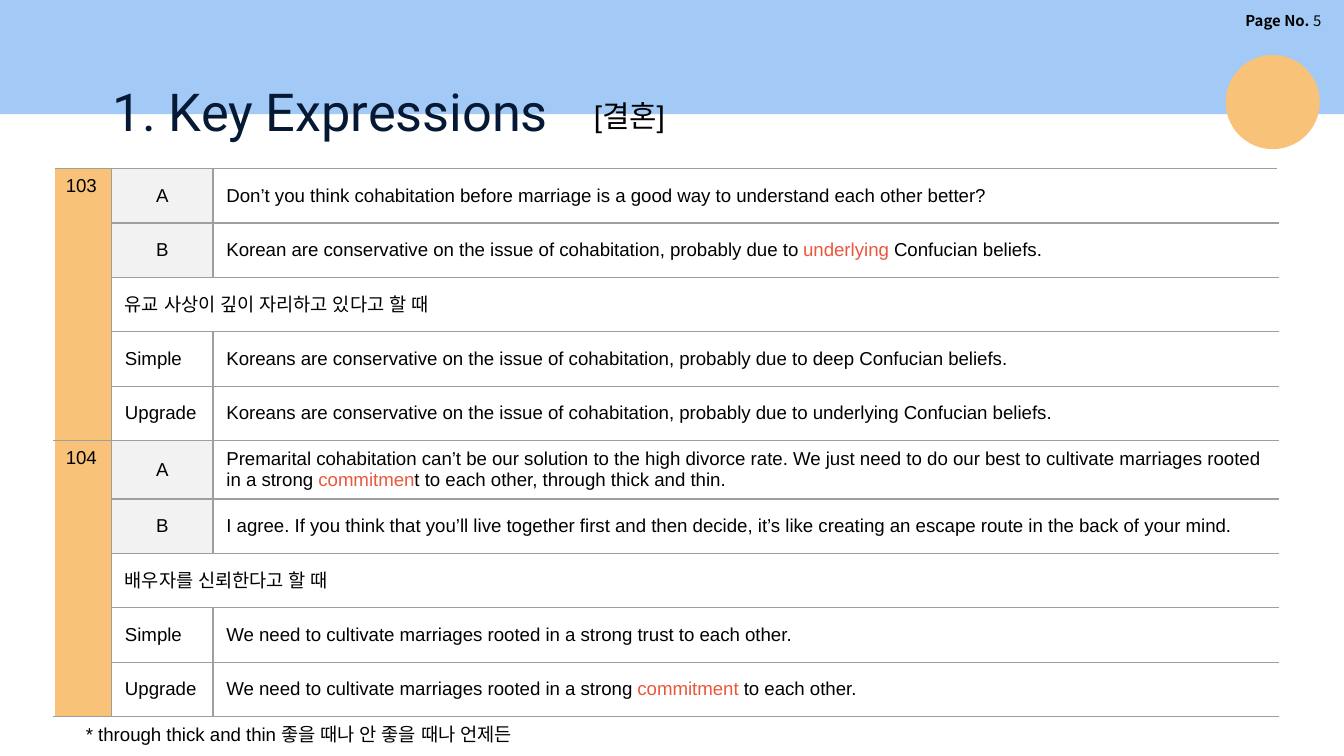
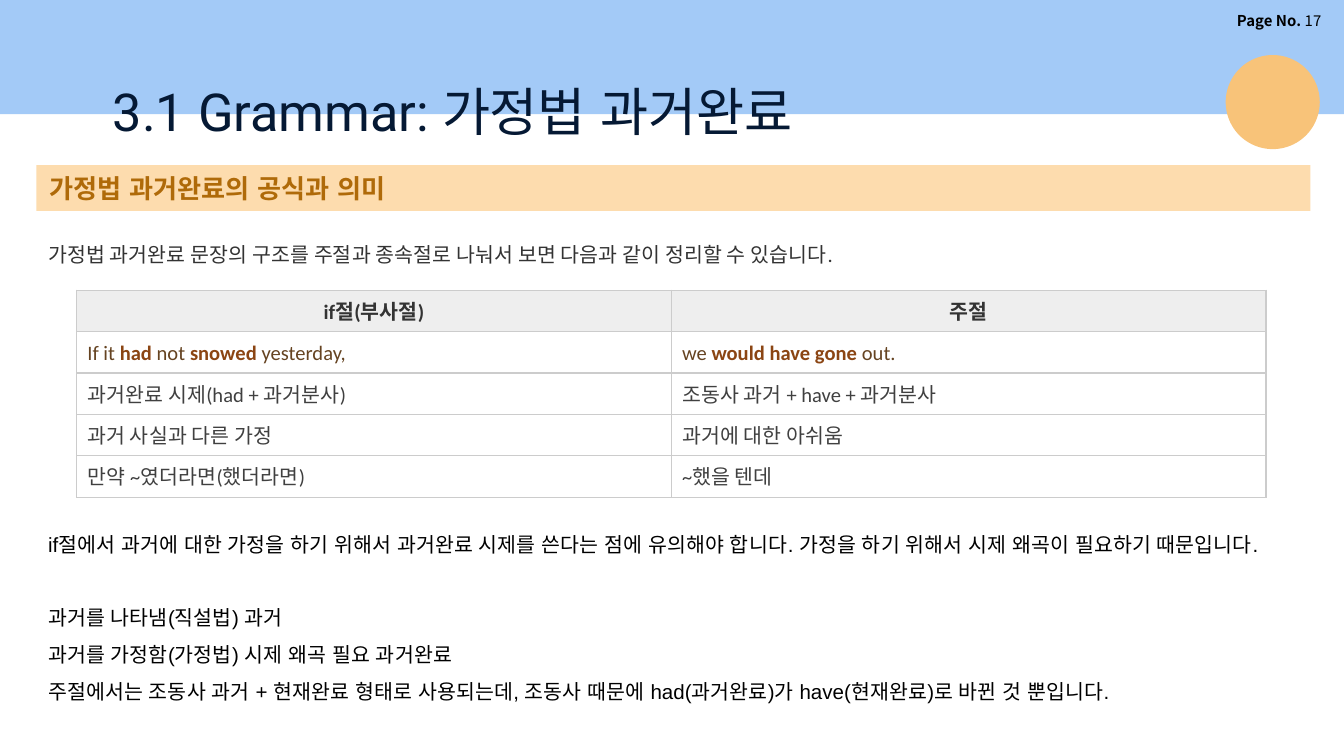
from dataclasses import dataclass, replace

from lxml import etree
from pptx import Presentation
from pptx.dml.color import RGBColor
from pptx.enum.shapes import MSO_SHAPE
from pptx.enum.text import MSO_ANCHOR, MSO_AUTO_SIZE, PP_ALIGN
from pptx.oxml.ns import qn
from pptx.util import Pt

PX = 4572  # EMU in one px, 200 px to the inch
PAGE_SIZE = (2000, 1125)
TITLE_ONLY = 5

RECT, OVAL = MSO_SHAPE.RECTANGLE, MSO_SHAPE.OVAL
TOP, MIDDLE = MSO_ANCHOR.TOP, MSO_ANCHOR.MIDDLE
LEFT, CENTER, RIGHT = PP_ALIGN.LEFT, PP_ALIGN.CENTER, PP_ALIGN.RIGHT
FIXED, GROW = MSO_AUTO_SIZE.NONE, MSO_AUTO_SIZE.SHAPE_TO_FIT_TEXT

COLORS = {
    "band": "A3CAF7", "sun": "F8C379", "title": "051934", "ink": "000000",
    "accent": "EB573D", "label": "F2F2F2", "rule": "9E9E9E", "white": "FFFFFF",
    "bar": "FDDCAE", "heading": "AF6A09", "grey": "333333", "formula": "404040",
    "header": "EEEEEE", "grid": "CCCCCC", "example": "654321", "verb": "8B4513",
}


@dataclass(frozen=True)
class Style:
    size: int
    font: str
    color: str
    bold: bool = False


TITLE = Style(28, "Roboto", "title")
PAGE_NO = Style(8, "Noto Sans CJK KR", "ink")
TOPIC = Style(16, "Arial", "ink")
PHRASE = Style(10, "Arial", "ink")
HEADING = Style(14, "Arial", "heading", True)
NOTE = Style(11, "Arial", "ink")
INTRO = Style(11, "Calibri", "grey")
FORMULA = replace(INTRO, color="formula")
EXAMPLE = replace(INTRO, color="example")
VERB = replace(INTRO, color="verb", bold=True)

EXPRESSIONS = [
    ("103",
     "Don’t you think cohabitation before marriage is a good way to understand "
     "each other better?",
     "Korean are conservative on the issue of cohabitation, probably due to "
     "|underlying| Confucian beliefs.",
     "유교 사상이 깊이 자리하고 있다고 할 때",
     "Koreans are conservative on the issue of cohabitation, probably due to deep "
     "Confucian beliefs.",
     "Koreans are conservative on the issue of cohabitation, probably due to "
     "underlying Confucian beliefs."),
    ("104",
     "Premarital cohabitation can’t be our solution to the high divorce rate. We just "
     "need to do our best to cultivate marriages rooted in a strong |commitmen|t to "
     "each other, through thick and thin.",
     "I agree. If you think that you’ll live together first and then decide, it’s like "
     "creating an escape route in the back of your mind.",
     "배우자를 신뢰한다고 할 때",
     "We need to cultivate marriages rooted in a strong trust to each other.",
     "We need to cultivate marriages rooted in a strong |commitment| to each other."),
]
LABELS = ["A", "B", None, "Simple", "Upgrade"]

CLAUSES = [
    ("if절(부사절)", "주절"),
    ("If it |had| not |snowed| yesterday,", "we |would have gone| out."),
    ("과거완료 시제(had + 과거분사)", "조동사 과거 + have + 과거분사"),
    ("과거 사실과 다른 가정", "과거에 대한 아쉬움"),
    ("만약 ~였더라면(했더라면)", "~했을 텐데"),
]

REMARKS = [
    "if절에서 과거에 대한 가정을 하기 위해서 과거완료 시제를 쓴다는 점에 유의해야 합니다. "
    "가정을 하기 위해서 시제 왜곡이 필요하기 때문입니다.",
    "과거를 나타냄(직설법) 과거",
    "과거를 가정함(가정법) 시제 왜곡 필요 과거완료",
    "주절에서는 조동사 과거 + 현재완료 형태로 사용되는데, 조동사 때문에 "
    "had(과거완료)가 have(현재완료)로 바뀐 것 뿐입니다.",
]


# Shared helpers

def rgb(name):
    return RGBColor.from_string(COLORS[name])


def emu(box):
    return [length * PX for length in box]


def add_spans(para, spans, align=LEFT, spacing=None):
    para.alignment = align
    if spacing:
        para.line_spacing = spacing
    for text, style in spans:
        span = para.add_run()
        span.text = text
        font = span.font
        font.size, font.name, font.bold = Pt(style.size), style.font, style.bold
        font.color.rgb = rgb(style.color)
        # Korean letters follow the same font name
        east_asian = etree.SubElement(span._r.get_or_add_rPr(), qn("a:ea"))
        east_asian.set("typeface", style.font)


def marked(text, plain, strong):
    """Split text at bars; every second part takes the strong style."""
    return [(part, strong if index % 2 else plain)
            for index, part in enumerate(text.split("|"))]


def add_text(page, box, spans, align=LEFT, anchor=TOP, spacing=None):
    frame = page.shapes.add_textbox(*emu(box)).text_frame
    frame.word_wrap, frame.auto_size = True, GROW
    frame.vertical_anchor = anchor
    add_spans(frame.paragraphs[0], spans, align, spacing)
    return frame


def add_block(page, kind, box, color):
    block = page.shapes.add_shape(kind, *emu(box))
    block.shadow.inherit = False
    block.fill.solid()
    block.fill.fore_color.rgb = rgb(color)
    block.line.fill.background()
    return block


def add_grid(page, box, rows, columns):
    table = page.shapes.add_table(rows, columns, *emu(box)).table
    table.first_row = table.horz_banding = False
    return table


def format_cell(cell, borders, fill=None):
    """Set borders, given as (color, points) for left, right, top, bottom, and fill."""
    props = cell._tc.get_or_add_tcPr()
    for side, (color, points) in zip("LRTB", borders):
        line = etree.SubElement(props, qn("a:ln" + side), w=str(int(Pt(points))))
        solid = etree.SubElement(line, qn("a:solidFill"))
        etree.SubElement(solid, qn("a:srgbClr"), val=COLORS[color])
    if fill:
        cell.fill.solid()
        cell.fill.fore_color.rgb = rgb(fill)
    else:
        cell.fill.background()


def add_page(deck, number, title_spans, title_width):
    """Start a page with band, page number, title and sun."""
    page = deck.slides.add_slide(deck.slide_layouts[TITLE_ONLY])
    band = add_block(page, RECT, (0, 0, PAGE_SIZE[0], 170), "band")
    page.shapes._spTree.insert(2, band._element)  # behind the title
    add_text(page, (1696, 8, 290, 46),
             [("Page No. ", replace(PAGE_NO, bold=True)), (number, PAGE_NO)], RIGHT)

    title = page.shapes.title
    title.left, title.top, title.width, title.height = emu((148, 98, title_width, 126))
    frame = title.text_frame
    frame.word_wrap, frame.auto_size, frame.vertical_anchor = True, FIXED, TOP
    frame.margin_left = frame.margin_right = 20 * PX
    frame.margin_top = frame.margin_bottom = 20 * PX
    add_spans(frame.paragraphs[0], title_spans)

    add_block(page, OVAL, (1824, 82, 140, 140), "sun")
    return page


# Tables

def add_expressions(page, box):
    size = len(LABELS)
    table = add_grid(page, box, size * len(EXPRESSIONS), 3)
    number_width, label_width = 86, 151
    widths = (number_width, label_width, box[2] - number_width - label_width)
    for column, width in zip(table.columns, widths):
        column.width = width * PX

    rule, edge = ("rule", 0.75), ("white", 1)
    for group, (number, *sentences) in enumerate(EXPRESSIONS):
        first = group * size
        for offset, (label, sentence) in enumerate(zip(LABELS, sentences)):
            row = first + offset
            number_cell, label_cell, text_cell = (table.cell(row, i) for i in range(3))
            is_speaker = label in ("A", "B")
            format_cell(number_cell, [edge, rule, rule, rule], "sun")
            format_cell(label_cell, [rule, rule if label else edge, rule, rule],
                        "label" if is_speaker else None)
            format_cell(text_cell, [rule, edge, rule, rule])
            label_cell.vertical_anchor = text_cell.vertical_anchor = MIDDLE
            if label:
                label_cell.margin_right = 10 * PX if not is_speaker else 20 * PX
                add_spans(label_cell.text_frame.paragraphs[0], [(label, PHRASE)],
                          CENTER if is_speaker else LEFT)
            else:
                label_cell.merge(text_cell)
                text_cell = label_cell
            add_spans(text_cell.text_frame.paragraphs[0],
                      marked(sentence, PHRASE, replace(PHRASE, color="accent")))
        # The number needs the full width of its narrow column
        number_cell = table.cell(first, 0)
        number_cell.merge(table.cell(first + size - 1, 0))
        number_cell.margin_left, number_cell.margin_right = emu((18, 4))
        add_spans(number_cell.text_frame.paragraphs[0], [(number, PHRASE)])


def add_clauses(page, box):
    table = add_grid(page, box, len(CLAUSES), 2)
    row_styles = [replace(INTRO, bold=True), EXAMPLE] + [FORMULA] * 3
    for row, (texts, style) in enumerate(zip(CLAUSES, row_styles)):
        is_header = row == 0
        for column, text in enumerate(texts):
            cell = table.cell(row, column)
            format_cell(cell, [("grid", 0.75)] * 4, "header" if is_header else "white")
            cell.vertical_anchor = MIDDLE
            cell.margin_left, cell.margin_right = emu((20, 20) if is_header else (16, 10))
            cell.margin_top, cell.margin_bottom = emu((14, 10))
            add_spans(cell.text_frame.paragraphs[0], marked(text, style, VERB),
                      CENTER if is_header else LEFT)


# Pages

def build_expressions_page(deck):
    page = add_page(deck, "5", [("1. Key Expressions", TITLE)], 716)
    add_expressions(page, (80, 251, 1822, 810))
    add_text(page, (864, 136, 400, 74), [("[결혼]", TOPIC)])
    add_text(page, (108, 1066, 1096, 54),
             [("* through thick and thin 좋을 때나 안 좋을 때나 언제든", PHRASE)])


def build_grammar_page(deck):
    page = add_page(deck, "17", [("3.1 Grammar: ", TITLE),
                                 ("가정법 과거완료", replace(TITLE, font="Arial"))], 1546)
    # Heading bar and introduction
    bar = add_block(page, RECT, (54, 246, 1896, 68), "bar").text_frame
    bar.word_wrap, bar.vertical_anchor = True, MIDDLE
    add_spans(bar.paragraphs[0], [("가정법 과거완료의 공식과 의미", HEADING)])
    add_text(page, (52, 334, 1896, 70),
             [("가정법 과거완료 문장의 구조를 주절과 종속절로 나눠서 보면 "
               "다음과 같이 정리할 수 있습니다.", INTRO)], anchor=MIDDLE, spacing=1.5)

    add_clauses(page, (114, 432, 1770, 308))

    # Remarks, with a gap after the first
    first, *others = REMARKS
    frame = add_text(page, (52, 764, 1896, 346), [(first, NOTE)], spacing=1.5)
    for index, remark in enumerate(others):
        para = frame.add_paragraph()
        add_spans(para, [(remark, NOTE)], spacing=1.5)
        if index == 0:
            para.space_before = Pt(19)


def main():
    deck = Presentation()
    deck.slide_width, deck.slide_height = emu(PAGE_SIZE)
    build_expressions_page(deck)
    build_grammar_page(deck)
    deck.save("out.pptx")


if __name__ == "__main__":
    main()
